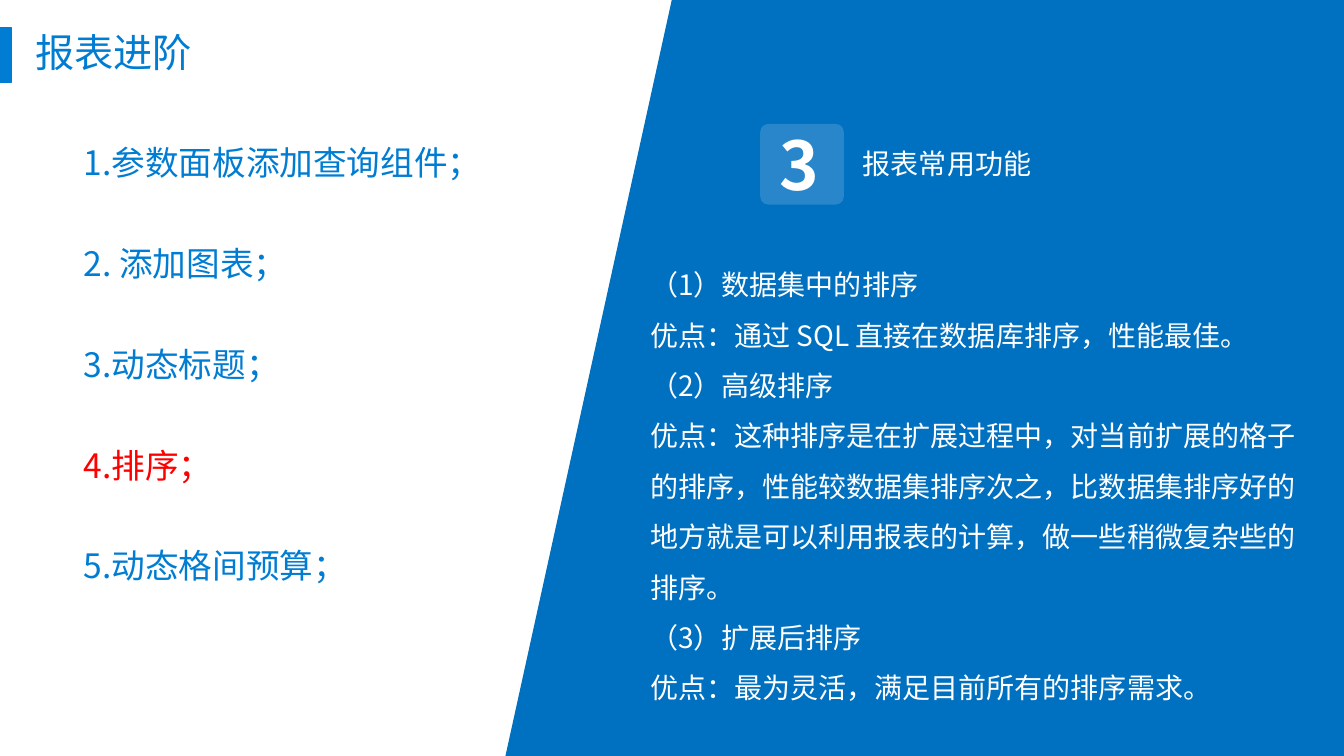
from lxml import etree
from pptx import Presentation
from pptx.dml.color import RGBColor
from pptx.enum.lang import MSO_LANGUAGE_ID
from pptx.enum.shapes import MSO_SHAPE
from pptx.enum.text import MSO_ANCHOR, MSO_AUTO_SIZE, PP_ALIGN
from pptx.oxml.ns import qn
from pptx.util import Inches, Pt

TITLE = "报表进阶"
TOPICS = [
    "1.参数面板添加查询组件；",
    "2. 添加图表；",
    "3.动态标题；",
    "4.排序；",
    "5.动态格间预算；",
]
CURRENT_TOPIC = 3
SECTION_NUMBER = "3"
SECTION_NAME = "报表常用功能"
SORT_METHODS = [
    ("（1）数据集中的排序",
     "优点：通过 SQL 直接在数据库排序，性能最佳。"),
    ("（2）高级排序",
     "优点：这种排序是在扩展过程中，对当前扩展的格子的排序，性能较数据集排序次之，"
     "比数据集排序好的地方就是可以利用报表的计算，做一些稍微复杂些的排序。"),
    ("（3）扩展后排序",
     "优点：最为灵活，满足目前所有的排序需求。"),
]

HEADING_FONT = "Noto Sans CJK SC"
ADVANTAGE_FONT = "Noto Sans CJK JP"
ACCENT = RGBColor(0x00, 0x7D, 0xD2)
PANEL_BLUE = RGBColor(0x00, 0x70, 0xC0)
RED = RGBColor(0xFF, 0x00, 0x00)
WHITE = RGBColor(0xFF, 0xFF, 0xFF)
WIDTH, HEIGHT = 13.33, 7.5
PANEL_CORNERS = [(6.67, 0), (WIDTH, 0), (WIDTH, HEIGHT), (5.02, HEIGHT)]


def place(box, left, top, width, height):
    box.left, box.top = Inches(left), Inches(top)
    box.width, box.height = Inches(width), Inches(height)


def paint(shape, color):
    shape.shadow.inherit = False
    shape.fill.solid()
    shape.fill.fore_color.rgb = color
    shape.line.color.rgb = color
    shape.line.width = Pt(1)


def write(box, lines, size=20, color=WHITE, font=HEADING_FONT, bold=False,
          spacing=1.0, anchor=MSO_ANCHOR.TOP, wrap=True, overrides=None):
    frame = box.text_frame
    frame.word_wrap = wrap
    frame.auto_size = MSO_AUTO_SIZE.NONE
    frame.vertical_anchor = anchor
    for index, line in enumerate(lines):
        paragraph = frame.paragraphs[0] if index == 0 else frame.add_paragraph()
        paragraph.alignment = PP_ALIGN.LEFT
        paragraph.line_spacing = spacing
        paragraph.space_before = paragraph.space_after = Pt(0)
        properties = paragraph._p.get_or_add_pPr()
        properties.set("marL", "0")
        properties.set("indent", "0")
        etree.SubElement(properties, qn("a:buNone"))
        run = paragraph.add_run()
        run.text = line
        look = {"color": color, "font": font, **(overrides or {}).get(index, {})}
        run.font.size = Pt(size)
        run.font.bold = bold
        run.font.color.rgb = look["color"]
        run.font.name = look["font"]
        run.font.language_id = MSO_LANGUAGE_ID.SIMPLIFIED_CHINESE
        east_asian = etree.SubElement(run.font._element, qn("a:ea"))
        east_asian.set("typeface", look["font"])


def main():
    deck = Presentation()
    deck.slide_width, deck.slide_height = Inches(WIDTH), Inches(HEIGHT)
    slide = deck.slides.add_slide(deck.slide_layouts[1])
    shapes = slide.shapes

    accent_bar = shapes.add_shape(
        MSO_SHAPE.RECTANGLE, 0, Inches(0.27), Inches(0.11), Inches(0.55))
    paint(accent_bar, ACCENT)

    title = shapes.title
    place(title, 0.25, 0.33, 11.5, 0.43)
    write(title, [TITLE], size=28, color=ACCENT, spacing=0.9,
          anchor=MSO_ANCHOR.MIDDLE)

    corners = [(Inches(x), Inches(y)) for x, y in PANEL_CORNERS]
    outline = shapes.build_freeform(*corners[0])
    outline.add_line_segments(corners[1:], close=True)
    paint(outline.convert_to_shape(), PANEL_BLUE)

    badge = shapes.add_shape(
        MSO_SHAPE.ROUNDED_RECTANGLE,
        Inches(7.54), Inches(1.23), Inches(0.83), Inches(0.8))
    badge.adjustments[0] = 0.1
    paint(badge, WHITE)
    badge.line.fill.background()
    tint = badge.fill._xPr.find(qn("a:solidFill"))[0]
    etree.SubElement(tint, qn("a:alpha")).set("val", "16000")

    section_name = shapes.add_textbox(0, 0, 0, 0)
    place(section_name, 8.46, 1.4, 1.88, 0.44)
    write(section_name, [SECTION_NAME], wrap=False)

    section_number = shapes.add_textbox(0, 0, 0, 0)
    place(section_number, 7.63, 1.17, 0.7, 0.91)
    write(section_number, [SECTION_NUMBER], size=48, bold=True)

    topics = slide.placeholders[1]
    place(topics, 0.73, 0.76, 4.18, 4.98)
    write(topics, TOPICS, size=24, color=ACCENT, spacing=2.5,
          overrides={CURRENT_TOPIC: {"color": RED}})

    methods = shapes.add_textbox(0, 0, 0, 0)
    place(methods, 6.35, 2.44, 6.67, 4.59)
    method_lines = [line for method in SORT_METHODS for line in method]
    advantages = range(1, len(method_lines), 2)
    write(methods, method_lines, spacing=1.5,
          overrides={index: {"font": ADVANTAGE_FONT} for index in advantages})

    deck.save("out.pptx")


if __name__ == "__main__":
    main()
